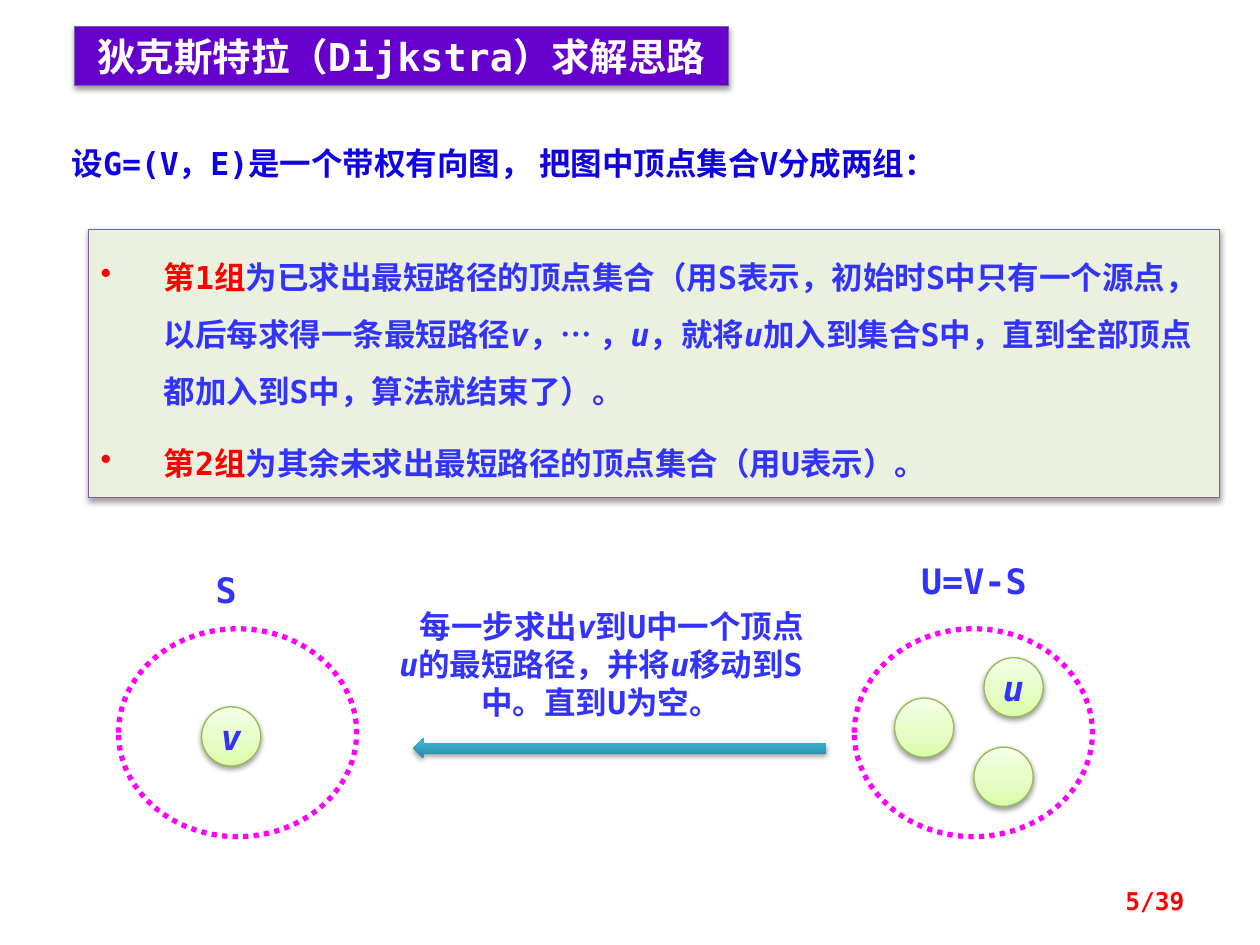
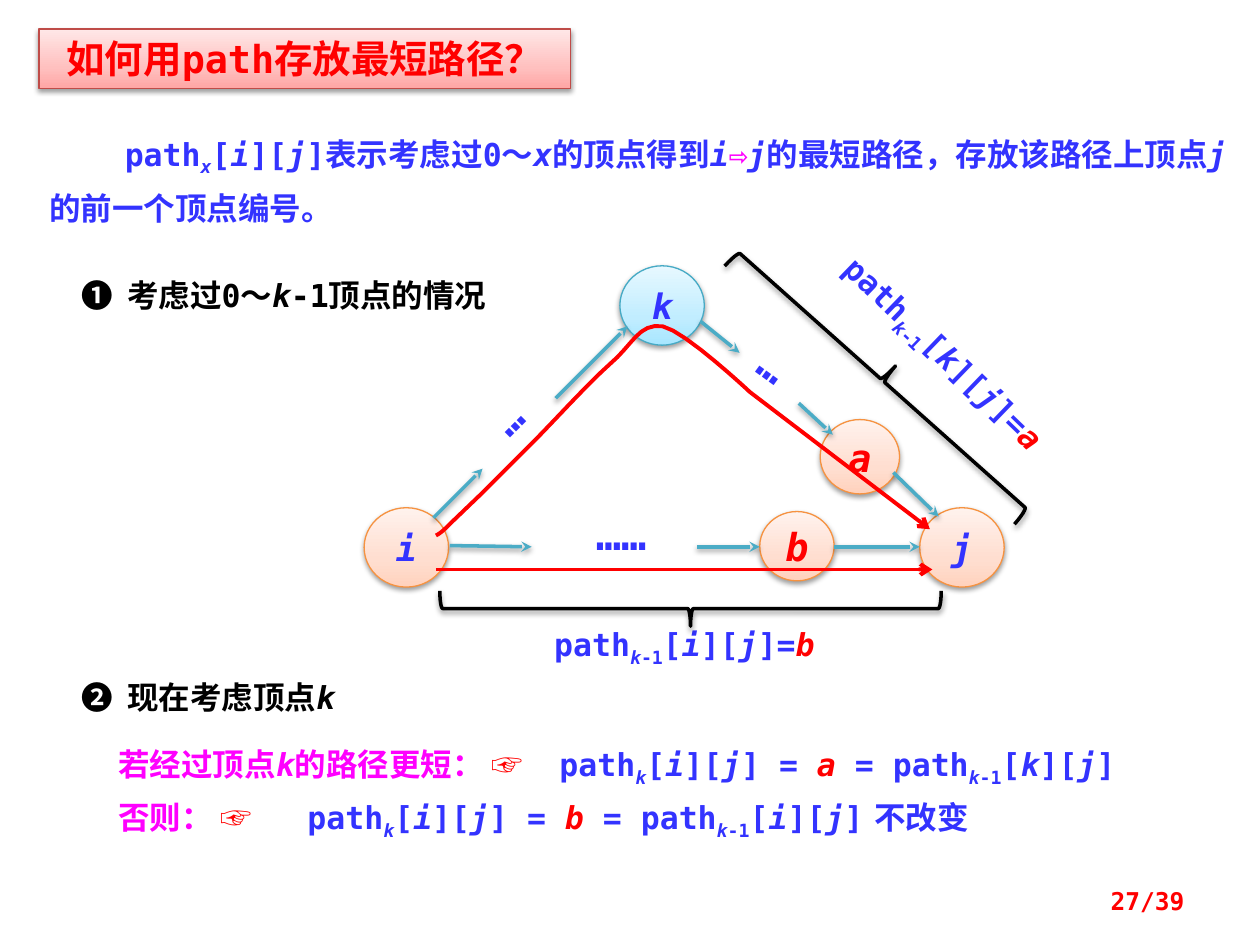
"""Build two slides on Dijkstra's method and on storing shortest paths."""
from dataclasses import dataclass
from typing import Any, Optional, Union

import lxml.etree
import pptx
import pptx.dml.color
import pptx.enum.dml
import pptx.enum.shapes
import pptx.enum.text
import pptx.oxml.ns
import pptx.util

Inches = pptx.util.Inches
Pt = pptx.util.Pt
qn = pptx.oxml.ns.qn
Shapes = pptx.enum.shapes.MSO_SHAPE
Align = pptx.enum.text.PP_ALIGN
Anchor = pptx.enum.text.MSO_ANCHOR

MONO, CJK = "DejaVu Sans Mono", "Noto Sans CJK SC"
BLUE, RED, MAGENTA, BLACK, WHITE = "3333FF", "FF0000", "FF00FF", "000000", "FFFFFF"
TEAL, PURPLE = "4BACC6", "7D60A0"
Stops = tuple[tuple[int, str], ...]
Area = tuple[float, float, float, float]
Point = tuple[float, float]
GREEN_FADE: Stops = ((0, "DAFDA7"), (35, "E4FCC2"), (100, "F5FFE7"))
ORANGE_FADE: Stops = ((0, "FFD2BD"), (35, "FFDED0"), (100, "FFF2ED"))
SKY_FADE: Stops = ((0, "A7E6FF"), (35, "C1EDFF"), (100, "E7F8FF"))
PINK_FADE: Stops = ((0, "FFA6A5"), (35, "FFC0BF"), (100, "FFE7E7"))
TEAL_FADE: Stops = ((0, "2A88A2"), (80, "37B1D2"), (100, "34B4D6"))


@dataclass
class Run:
    """A stretch of text in one style."""
    text: str
    color: str = BLUE
    italic: bool = False
    subscript: bool = False
    font: str = MONO


@dataclass
class Para:
    """A paragraph: its runs and layout, lengths in inches."""
    runs: list[Run]
    align: Any = Align.LEFT
    spacing: Any = None
    before: float = 0
    margin: float = 0
    indent: float = 0
    bullet: str = ""
    tabs: tuple[float, ...] = ()


@dataclass
class Look:
    """Fill, outline and shadow of a shape."""
    fill: Union[str, Stops, None] = None
    line: Optional[str] = None
    width: float = 0.75
    shadow: bool = True


@dataclass
class Node:
    """A graph vertex."""
    label: str
    area: Area
    fade: Stops
    outline: str
    color: str = BLUE
    size: int = 20


@dataclass
class Edge:
    """A straight arrow."""
    start: Point
    end: Point
    color: str = TEAL
    width: float = 2
    head: str = "stealth"
    shadow: bool = True


def rgb(value: str) -> pptx.dml.color.RGBColor:
    """Turn a hex string into a colour."""
    return pptx.dml.color.RGBColor.from_string(value)


def child(parent: Any, tag: str, **attributes: Any) -> Any:
    """Append an XML element and return it."""
    return lxml.etree.SubElement(parent, qn(tag), {k: str(v) for k, v in attributes.items()})


def rich(text: str, color: str = BLUE) -> list[Run]:
    """Split text into runs, italic between asterisks."""
    return [Run(part, color, n % 2 == 1) for n, part in enumerate(text.split("*")) if part]


def path_entry(stage: str, start: str) -> list[Run]:
    """Spell path with a stage subscript and its two indexes."""
    offset = [Run(stage[1:], subscript=True)] if stage[1:] else []
    return [Run("path"), Run(stage[0], italic=True, subscript=True), *offset,
            *rich(f"[*{start}*][*j*]")]


def write(frame: Any, paras: list[Para], size: float, inset: Point = (0.1, 0.05),
          anchor: Any = Anchor.TOP, wrap: bool = True) -> None:
    """Fill a text frame run by run."""
    frame.auto_size = pptx.enum.text.MSO_AUTO_SIZE.NONE
    frame.word_wrap, frame.vertical_anchor = wrap, anchor
    frame.margin_left = frame.margin_right = Inches(inset[0])
    frame.margin_top = frame.margin_bottom = Inches(inset[1])
    for n, para in enumerate(paras):
        paragraph = frame.add_paragraph() if n else frame.paragraphs[0]
        properties = paragraph._p.get_or_add_pPr()
        properties.set("marL", str(Inches(para.margin)))
        properties.set("indent", str(Inches(para.indent)))
        if para.bullet:
            child(properties, "a:buChar", char=para.bullet)
        if para.tabs:
            stops = child(properties, "a:tabLst")
            for stop in para.tabs:
                child(stops, "a:tab", pos=Inches(stop), algn="l")
        paragraph.alignment = para.align
        if para.spacing:
            paragraph.line_spacing = para.spacing
        if n and para.before:
            paragraph.space_before = Pt(para.before)
        for item in para.runs:
            run = paragraph.add_run()
            run.text = item.text
            run.font.size, run.font.name = Pt(size), item.font
            run.font.bold, run.font.italic = True, item.italic
            run.font.color.rgb = rgb(item.color)
            child(run._r.rPr, "a:ea", typeface=CJK)
            if item.subscript:
                run._r.rPr.set("baseline", "-25000")


def cast_shadow(effects: Any) -> None:
    """Put the soft downward shadow into an effect list."""
    shadow = child(effects, "a:outerShdw", blurRad=Pt(3.1), dist=Pt(1.6),
                   dir=5400000, rotWithShape=0)
    child(child(shadow, "a:srgbClr", val=BLACK), "a:alpha", val=38000)


def dress(shape: Any, look: Look) -> None:
    """Apply fill, outline and shadow."""
    if look.fill is None:
        shape.fill.background()
    elif isinstance(look.fill, str):
        shape.fill.solid()
        shape.fill.fore_color.rgb = rgb(look.fill)
    else:
        shape.fill.gradient()
        shape.fill.gradient_angle = 90
        stops = shape._element.spPr.find(qn("a:gradFill")).find(qn("a:gsLst"))
        for stop in list(stops):
            stops.remove(stop)
        for position, color in look.fill:
            child(child(stops, "a:gs", pos=position * 1000), "a:srgbClr", val=color)
    if look.line:
        shape.line.color.rgb = rgb(look.line)
        shape.line.width = Pt(look.width)
    else:
        shape.line.fill.background()
    shape.shadow.inherit = False
    if look.shadow:
        cast_shadow(shape._element.spPr.find(qn("a:effectLst")))


def add_figure(slide: Any, kind: Any, area: Area, look: Look, rotation: float = 0) -> Any:
    """Add a preset shape."""
    shape = slide.shapes.add_shape(kind, *map(Inches, area))
    shape.rotation = rotation
    dress(shape, look)
    return shape


def add_text(slide: Any, area: Area, paras: list[Para], size: float = 18,
             rotation: float = 0, **layout: Any) -> None:
    """Add a text box."""
    box = slide.shapes.add_textbox(*map(Inches, area))
    box.rotation = rotation
    write(box.text_frame, paras, size, **layout)


def add_node(slide: Any, node: Node) -> None:
    """Draw a vertex with its label."""
    circle = add_figure(slide, Shapes.OVAL, node.area, Look(node.fade, node.outline))
    if node.label:
        write(circle.text_frame, [Para([Run(node.label, node.color, True)], Align.CENTER)],
              node.size, anchor=Anchor.MIDDLE, wrap=False)


def add_edge(slide: Any, edge: Edge) -> None:
    """Draw a straight arrow."""
    arrow = slide.shapes.add_connector(pptx.enum.shapes.MSO_CONNECTOR.STRAIGHT,
                                       *map(Inches, edge.start + edge.end))
    arrow.line.color.rgb, arrow.line.width = rgb(edge.color), Pt(edge.width)
    child(arrow.line._get_or_add_ln(), "a:tailEnd", type=edge.head)
    effects = child(arrow._element.spPr, "a:effectLst")
    if edge.shadow:
        cast_shadow(effects)


def bezier(a: Point, b: Point, c: Point, d: Point, steps: int = 8) -> list[Point]:
    """Sample a cubic curve after its first point."""
    def blend(axis: int, t: float) -> float:
        u = 1 - t
        return (u ** 3 * a[axis] + 3 * u * u * t * b[axis]
                + 3 * u * t * t * c[axis] + t ** 3 * d[axis])
    return [(blend(0, n / steps), blend(1, n / steps)) for n in range(1, steps + 1)]


def add_route(slide: Any, points: list[Point]) -> None:
    """Draw the red route through the given points."""
    corners = [(Inches(x), Inches(y)) for x, y in points]
    builder = slide.shapes.build_freeform(*corners[0], scale=1.0)
    builder.add_line_segments(corners[1:], close=False)
    route = builder.convert_to_shape()
    dress(route, Look(line=RED, width=2.25, shadow=False))
    child(route.line._get_or_add_ln(), "a:tailEnd", type="arrow")


def start_slide(deck: Any, title: str, color: str, area: Area, look: Look, page: str) -> Any:
    """Add a slide with its title band and page number."""
    slide = deck.slides.add_slide(deck.slide_layouts[5])
    band = slide.shapes.title
    band.left, band.top, band.width, band.height = map(Inches, area)
    dress(band, look)
    write(band.text_frame, [Para([Run(title, color)], Align.CENTER)], 22, wrap=False)
    add_text(slide, (7.17, 6.95, 2.33, 0.4), [Para([Run(page, RED)], Align.RIGHT)], 14,
             anchor=Anchor.MIDDLE)
    return slide


def build_idea(deck: Any) -> None:
    """Show the two vertex groups and the move between them."""
    slide = start_slide(deck, "狄克斯特拉（Dijkstra）求解思路", WHITE, (0.59, 0.21, 5.19, 0.47),
                        Look("6600CC", PURPLE), "5/39")
    add_text(slide, (0.47, 1.09, 8.87, 0.4),
             [Para([Run("设G=(V，E)是一个带权有向图， 把图中顶点集合V分成两组：", "1000E4")])])
    groups = [
        [Run("第1组", RED),
         *rich("为已求出最短路径的顶点集合（用S表示，初始时S中只有一个源点，以后每求得一条最短路径*v*，"),
         Run("… ", font=CJK),
         *rich("，*u*，就将*u*加入到集合S中，直到全部顶点都加入到S中，算法就结束了）。")],
        [Run("第2组", RED), Run("为其余未求出最短路径的顶点集合（用U表示）。")]]
    panel = add_figure(slide, Shapes.RECTANGLE, (0.7, 1.82, 8.98, 2.13), Look("EBF1DE", PURPLE))
    write(panel.text_frame, [Para(runs, spacing=1.5, before=9, margin=0.5, indent=-0.5, bullet="•")
                             for runs in groups], 18, inset=(0.1, 0.08))
    for name, label_area, left in (("S", (1.48, 4.51, 0.63, 0.34), 0.94),
                                   ("U=V-S", (7.18, 4.44, 1.1, 0.34), 6.78)):
        add_text(slide, label_area, [Para([Run(name)], Align.CENTER)], 20, inset=(0, 0))
        ring = add_figure(slide, Shapes.OVAL, (left, 4.99, 1.89, 1.65),
                          Look(line=MAGENTA, width=3, shadow=False))
        ring.line.dash_style = pptx.enum.dml.MSO_LINE.ROUND_DOT
    for label, left, top in (("v", 1.6, 5.61), ("u", 7.81, 5.22), ("", 7.73, 5.93), ("", 7.1, 5.54)):
        add_node(slide, Node(label, (left, top, 0.47, 0.47), GREEN_FADE, "98B955"))
    step = rich("每一步求出*v*到U中一个顶点*u*的最短路径，并将*u*移动到S中。直到U为空。")
    add_text(slide, (3.05, 4.77, 3.44, 1.01), [Para(step, Align.CENTER, indent=0.17)])
    add_figure(slide, Shapes.LEFT_ARROW, (3.28, 5.86, 3.28, 0.16), Look(TEAL_FADE))


def build_path(deck: Any) -> None:
    """Show how the path matrix keeps the previous vertex."""
    slide = start_slide(deck, "如何用path存放最短路径？", RED, (0.31, 0.23, 4.22, 0.47),
                        Look(PINK_FADE, "BF4C48"), "27/39")
    meaning = [*path_entry("x", "i"), *rich("表示考虑过0～*x*的顶点得到*i*"), Run("⇨", MAGENTA),
               *rich("*j*的最短路径，存放该路径上顶点*j*的前一个顶点编号。")]
    add_text(slide, (0.39, 1.02, 9.38, 0.75), [Para(meaning, spacing=Pt(28), indent=0.6)],
             inset=(0, 0))
    for heading, top, width in (("❶\t考虑过0～*k*-1顶点的情况", 2.11, 3.75),
                                ("❷\t现在考虑顶点*k*", 5.3, 3.59)):
        label = add_figure(slide, Shapes.RECTANGLE, (0.55, top, width, 0.46),
                           Look(WHITE, shadow=False))
        write(label.text_frame, [Para(rich(heading, BLACK), margin=0.36, indent=-0.36, tabs=(0.36,))],
              18, inset=(0.1, 0.08))
    cases = (("若经过顶点*k*的路径更短： ", "a", "k", "", (3.5,)),
             ("否则： ", "b", "i", "\t不改变", (1.23, 6.0)))
    add_text(slide, (0.94, 5.84, 8.75, 0.8), [
        Para([*rich(case, MAGENTA), Run("☞\t", RED), *path_entry("k", "i"), Run(" = "),
              *rich(f"*{previous} *", RED), Run("= "), *path_entry("k-1", source), *rich(note)],
             spacing=Pt(30), tabs=tabs)
        for case, previous, source, note, tabs in cases], inset=(0, 0))
    for node in (Node("i", (2.89, 4.03, 0.67, 0.63), ORANGE_FADE, "F69240"),
                 Node("j", (7.3, 4.03, 0.67, 0.63), ORANGE_FADE, "F69240"),
                 Node("k", (4.92, 2.11, 0.67, 0.63), SKY_FADE, "46AAC5"),
                 Node("a", (6.51, 3.33, 0.63, 0.59), ORANGE_FADE, "F69240", RED, 22),
                 Node("b", (6.03, 4.06, 0.59, 0.55), ORANGE_FADE, "F69240", RED, 22)):
        add_node(slide, node)
    for start, end in (((3.57, 4.33), (4.22, 4.34)), ((5.53, 4.34), (6.03, 4.34)),
                       ((6.62, 4.34), (7.3, 4.34)), ((3.44, 4.11), (3.83, 3.72)),
                       ((4.41, 3.16), (4.98, 2.59)), ((5.56, 2.55), (5.87, 2.8)),
                       ((6.34, 3.2), (6.61, 3.45)), ((7.09, 3.75), (7.45, 4.1))):
        add_edge(slide, Edge(start, end))
    for dots, area, rotation in (("……", (4.22, 3.99, 1.42, 0.5), 0),
                                 ("…", (3.81, 3.21, 0.71, 0.5), 135),
                                 ("…", (5.79, 2.65, 0.71, 0.5), 35.8)):
        add_text(slide, area, [Para([Run(dots)], Align.CENTER)], 24, rotation)
    for source, previous, area, tilt, brace, turn in (
            ("i", "b", (4.3, 4.91, 2.54, 0.4), 0, (5.34, 2.84, 0.28, 3.98), 90),
            ("k", "a", (6.28, 2.8, 2.84, 0.4), 44, (6.85, 1.48, 0.31, 3.08), 311.7)):
        entry = [*path_entry("k-1", source), Run("="), Run(previous, RED, True)]
        add_text(slide, area, [Para(entry)], rotation=tilt)
        add_figure(slide, Shapes.RIGHT_BRACE, brace, Look(line=BLACK, width=2), turn)
    add_route(slide, [
        (3.46, 4.25), *bezier((3.46, 4.25), (3.5, 4.23), (3.53, 4.2), (3.59, 4.14)),
        (3.83, 3.91), (4.22, 3.52),
        *bezier((4.22, 3.52), (4.39, 3.35), (4.67, 3.04), (4.84, 2.89)),
        *bezier((4.84, 2.89), (5.02, 2.74), (5.07, 2.56), (5.26, 2.59)),
        *bezier((5.26, 2.59), (5.44, 2.63), (5.95, 3.11), (5.95, 3.11)), (7.38, 4.2)])
    add_edge(slide, Edge((3.46, 4.52), (7.4, 4.52), RED, 2.25, "arrow", False))


def main() -> None:
    """Build and save the deck."""
    deck = pptx.Presentation()
    deck.slide_width, deck.slide_height = Inches(10), Inches(7.5)
    build_idea(deck)
    build_path(deck)
    deck.save("out.pptx")


if __name__ == "__main__":
    main()
